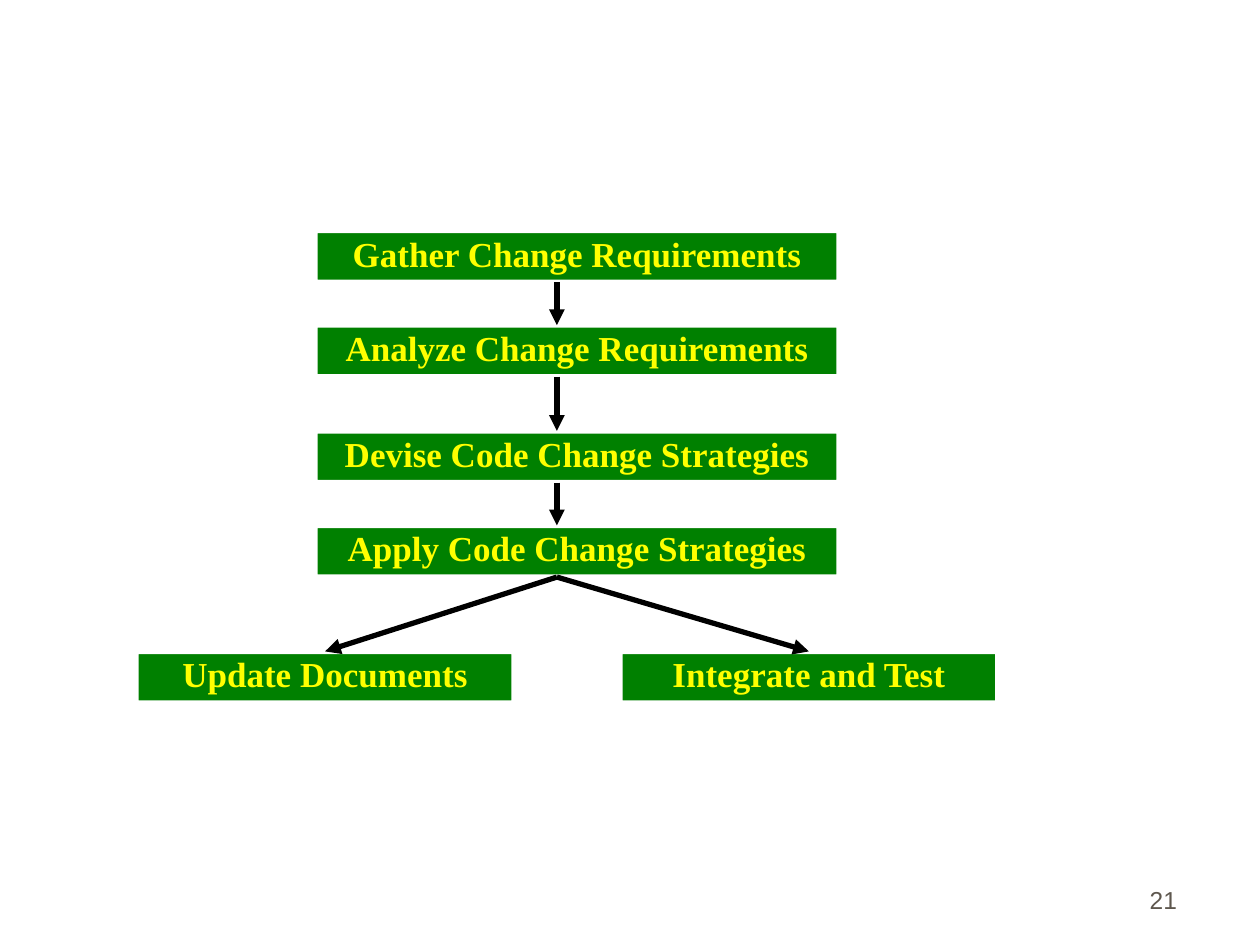
import pptx
import pptx.util
import pptx.dml.color
import pptx.enum.shapes
import pptx.enum.text
import pptx.oxml.ns
import lxml.etree

Inches = pptx.util.Inches
Pt = pptx.util.Pt

STEPS = [
    ("Gather Change Requirements", 1.83),
    ("Analyze Change Requirements", 2.58),
    ("Devise Code Change Strategies", 3.42),
    ("Apply Code Change Strategies", 4.17),
]
OUTCOMES = [("Update Documents", 1.08), ("Integrate and Test", 4.92)]
STEP_LEFT, STEP_WIDTH = 2.5, 4.16
OUTCOME_TOP, OUTCOME_WIDTH = 5.17, 3
BOX_HEIGHT = 0.41
ARROW_X = 4.42
PAGE_NUMBER = "21"


def color(value):
    return pptx.dml.color.RGBColor.from_string(value)


def format_text(shape, text, font_name, size, value, alignment, anchor, bold=False):
    frame = shape.text_frame
    frame.word_wrap = True
    frame.vertical_anchor = anchor
    frame.text = text
    paragraph = frame.paragraphs[0]
    paragraph.alignment = alignment
    font = paragraph.runs[0].font
    font.name = font_name
    font.size = Pt(size)
    font.bold = bold
    font.color.rgb = color(value)
    return paragraph


def add_box(slide, text, left, top, width):
    box = slide.shapes.add_shape(
        pptx.enum.shapes.MSO_SHAPE.ROUNDED_RECTANGLE,
        Inches(left), Inches(top), Inches(width), Inches(BOX_HEIGHT))
    box.adjustments[0] = 0.004
    box.shadow.inherit = False
    box.fill.solid()
    box.fill.fore_color.rgb = color("008000")
    box.line.color.rgb = color("FFFFFF")
    box.line.width = Pt(3)
    box.text_frame.margin_left = box.text_frame.margin_right = Inches(0.02)
    paragraph = format_text(
        box, text, "Times New Roman", 20, "FFFF00",
        pptx.enum.text.PP_ALIGN.CENTER, pptx.enum.text.MSO_ANCHOR.MIDDLE, True)
    paragraph.line_spacing = 0.85
    return box


def add_arrow(slide, start_y, end_x, end_y):
    arrow = slide.shapes.add_connector(
        pptx.enum.shapes.MSO_CONNECTOR.STRAIGHT,
        Inches(ARROW_X), Inches(start_y), Inches(end_x), Inches(end_y))
    arrow.line.color.rgb = color("000000")
    arrow.line.width = Pt(3)
    qn = pptx.oxml.ns.qn
    lxml.etree.SubElement(arrow.line._get_or_add_ln(), qn("a:tailEnd"), type="triangle")
    lxml.etree.SubElement(arrow._element.spPr, qn("a:effectLst"))
    return arrow


def main():
    presentation = pptx.Presentation()
    presentation.slide_width = Inches(10)
    presentation.slide_height = Inches(7.5)
    slide = presentation.slides.add_slide(presentation.slide_layouts[6])

    number = slide.shapes.add_textbox(Inches(7.36), Inches(6.81), Inches(2.08), Inches(0.5))
    format_text(number, PAGE_NUMBER, "Arial", 14, "5E574E",
                pptx.enum.text.PP_ALIGN.RIGHT, pptx.enum.text.MSO_ANCHOR.BOTTOM)

    for text, top in STEPS:
        add_box(slide, text, STEP_LEFT, top, STEP_WIDTH)
    outcome_boxes = [add_box(slide, text, left, OUTCOME_TOP, OUTCOME_WIDTH)
                     for text, left in OUTCOMES]

    tops = [top for text, top in STEPS]
    for top, next_top in zip(tops, tops[1:]):
        add_arrow(slide, top + BOX_HEIGHT, ARROW_X, next_top)
    for box, (text, left) in zip(outcome_boxes, OUTCOMES):
        arrow = add_arrow(slide, tops[-1] + BOX_HEIGHT, left + OUTCOME_WIDTH / 2, OUTCOME_TOP)
        arrow.end_connect(box, 0)

    presentation.save("out.pptx")


if __name__ == "__main__":
    main()
